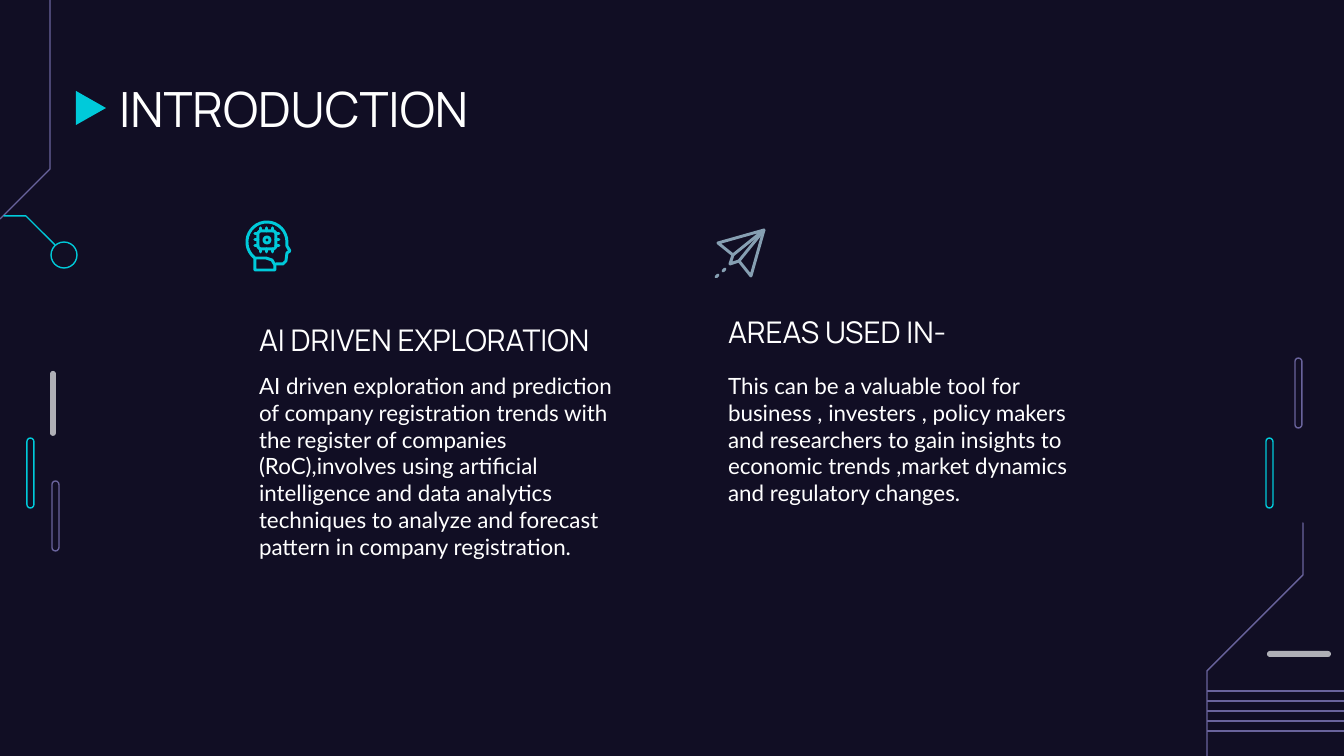
from math import cos, radians, sin

from lxml import etree
from pptx import Presentation
from pptx.dml.color import RGBColor
from pptx.enum.shapes import MSO_CONNECTOR, MSO_SHAPE
from pptx.enum.text import MSO_ANCHOR, MSO_AUTO_SIZE, PP_ALIGN
from pptx.oxml.ns import qn
from pptx.util import Emu, Inches, Pt

STRAIGHT = MSO_CONNECTOR.STRAIGHT
PILL, OVAL, MERGE = (MSO_SHAPE.ROUNDED_RECTANGLE, MSO_SHAPE.OVAL,
                     MSO_SHAPE.FLOWCHART_MERGE)
TOP, BOTTOM = MSO_ANCHOR.TOP, MSO_ANCHOR.BOTTOM

EMU_PER_PX = 914400 / 134.4
WIDTH, HEIGHT = 1344, 756
INSET = 13
THIN, ICON = 0.75, 1.6
COLORS = {
    "background": "110E24",
    "cyan": "00CADA",
    "purple": "69639C",
    "gray": "AFAFB6",
    "steel": "869FB2",
    "text": "FFFFFF",
}
HEADING_FONT, BODY_FONT = "Manrope", "Lato"

AI_TEXT = ("AI driven exploration and prediction of company registration trends "
           "with the register of companies (RoC),involves using artificial "
           "intelligence and data analytics techniques to analyze and forecast "
           "pattern in company registration.")
AREAS_TEXT = ("This can be a valuable tool for business , investers , policy makers "
              "and researchers to gain insights to economic trends ,market dynamics "
              "and regulatory changes.")


def px(length):
    return Emu(round(length * EMU_PER_PX))


def rgb(color):
    return RGBColor.from_string(COLORS[color])


def style(shape, fill=None, line=None, width=THIN):
    shape.shadow.inherit = False
    if fill:
        shape.fill.solid()
        shape.fill.fore_color.rgb = rgb(fill)
    else:
        shape.fill.background()
    if line:
        shape.line.color.rgb = rgb(line)
        shape.line.width = Pt(width)
    else:
        shape.line.fill.background()


def add_preset(slide, preset, box, **look):
    shape = slide.shapes.add_shape(preset, *map(px, box))
    style(shape, **look)
    return shape


def add_pill(slide, box, **look):
    add_preset(slide, PILL, box, **look).adjustments[0] = 0.5


def add_outline(slide, contours, color, width=THIN):
    """Draw open or closed contours as one unfilled freeform with round ends."""
    paths = [[(px(x), px(y)) for x, y in contour] for contour in contours]
    builder = slide.shapes.build_freeform(*paths[0][0])
    for number, path in enumerate(paths):
        if number:
            builder.move_to(*path[0])
        builder.add_line_segments(path[1:], close=False)
    shape = builder.convert_to_shape()
    style(shape, line=color, width=width)
    stroke = shape.element.spPr.find(qn("a:ln"))
    stroke.set("cap", "rnd")
    etree.SubElement(stroke, qn("a:round"))


def add_line(slide, start, end, color):
    line = slide.shapes.add_connector(STRAIGHT, *map(px, start + end))
    line.line.color.rgb = rgb(color)
    line.line.width = Pt(THIN)
    etree.SubElement(line.element.spPr, qn("a:effectLst"))


def place(shape, box):
    shape.left, shape.top, shape.width, shape.height = map(px, box)


def write(shape, text, font, size, anchor=TOP):
    frame = shape.text_frame
    frame.word_wrap = True
    frame.auto_size = MSO_AUTO_SIZE.NONE
    frame.vertical_anchor = anchor
    frame.margin_left = frame.margin_right = px(INSET)
    frame.margin_top = frame.margin_bottom = px(INSET)
    paragraph = frame.paragraphs[0]
    paragraph.alignment = PP_ALIGN.LEFT
    run = paragraph.add_run()
    run.text = text
    run.font.name = font
    run.font.size = Pt(size)
    run.font.color.rgb = rgb("text")


def add_text(slide, box, *content, **options):
    write(slide.shapes.add_textbox(*map(px, box)), *content, **options)


def add_column(slide, left, heading_top, heading, body):
    add_text(slide, (left, heading_top, 384, 71), heading, HEADING_FONT, 16,
             anchor=BOTTOM)
    add_text(slide, (left, 359, 384, 216), body, BODY_FONT, 12)


def add_circuit_decor(slide):
    for left, top, color in ((1266, 438, "cyan"), (1295, 358, "purple"),
                             (27, 438, "cyan"), (52, 481, "purple")):
        add_pill(slide, (left, top, 7, 70), line=color)

    add_outline(slide, [[(50, 0), (50, 169), (0, 219)]], "purple")
    add_outline(slide, [[(55, 245), (26, 216), (4, 216)]], "cyan")
    add_preset(slide, OVAL, (51, 242, 26, 26), line="cyan")

    add_outline(slide, [[(1303, 523), (1303, 575), (1207, 671), (1207, HEIGHT)]],
                "purple")
    for stripe in range(5):
        y = 691 + 10 * stripe
        add_line(slide, (WIDTH, y), (1207, y), "purple")

    add_pill(slide, (1267, 651, 64, 6), fill="gray")
    add_pill(slide, (50, 371, 6, 65), fill="gray")


def add_ai_head_icon(slide):
    jaw = [(276, 264), (283, 264), (286, 261), (287, 253), (290, 251), (287, 246)]
    skull = [(267 + 20 * cos(radians(a)), 242 - 20 * sin(radians(a)))
             for a in range(0, 232, 11)]
    neck = [(255, 258), (266, 258), (272, 260), (275, 265), (275, 270),
            (255, 270), (255, 258)]
    add_outline(slide, [jaw + skull, neck], "cyan", ICON)

    x, y, half, cut, pin_end = 267, 240, 9, 7, 12
    chip = [(-cut, -half), (cut, -half), (half, -cut), (half, cut),
            (cut, half), (-cut, half), (-half, cut), (-half, -cut), (-cut, -half)]
    pins = []
    for offset in (-6, 0, 6):
        for side in (-1, 1):
            pins.append([(offset, side * half), (offset, side * pin_end)])
            pins.append([(side * half, offset), (side * pin_end, offset)])
    add_outline(slide, [[(x + dx, y + dy) for dx, dy in part]
                        for part in [chip] + pins], "cyan", ICON)
    add_preset(slide, OVAL, (x - 3, y - 3, 6, 6), line="cyan", width=ICON)


def add_paper_plane_icon(slide):
    tip, left, fold, keel, crease, tail = (
        (764, 230), (718, 243), (733, 255), (730, 264), (739, 261), (751, 276))
    add_outline(slide, [[tip, left, fold, tip], [fold, keel, crease, tip],
                        [crease, tail, tip]], "steel", ICON)
    for x, y in ((716, 277), (723, 271)):
        add_outline(slide, [[(x, y), (x + 2, y - 2)]], "steel", ICON)


def main():
    deck = Presentation()
    deck.slide_width, deck.slide_height = Inches(10), px(HEIGHT)
    slide = deck.slides.add_slide(deck.slide_layouts.get_by_name("Title Only"))
    slide.background.fill.solid()
    slide.background.fill.fore_color.rgb = rgb("background")

    add_circuit_decor(slide)
    add_preset(slide, MERGE, (74, 93, 34, 30), fill="cyan").rotation = 270

    title = slide.shapes.title
    place(title, (106, 66, 1133, 85))
    write(title, "INTRODUCTION", HEADING_FONT, 26)

    add_column(slide, 715, 292, "AREAS USED IN-", AREAS_TEXT)
    add_column(slide, 246, 300, "AI DRIVEN EXPLORATION", AI_TEXT)
    add_ai_head_icon(slide)
    add_paper_plane_icon(slide)
    deck.save("out.pptx")


if __name__ == "__main__":
    main()
